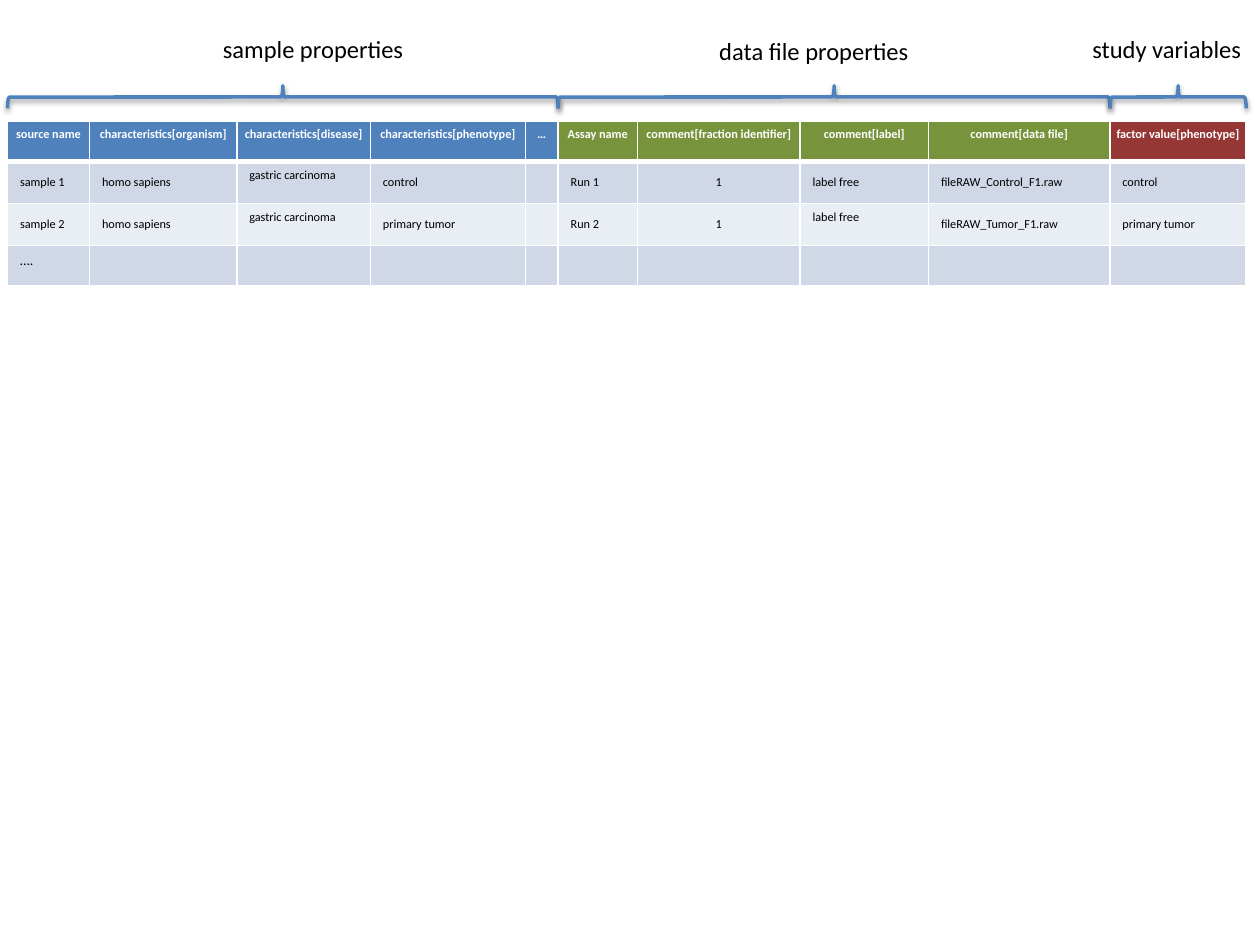
from dataclasses import dataclass
from itertools import accumulate

from lxml.etree import SubElement
from pptx import Presentation
from pptx.dml.color import RGBColor as RGB
from pptx.enum.shapes import MSO_SHAPE as SHAPE
from pptx.enum.text import MSO_ANCHOR as ANCHOR, MSO_AUTO_SIZE as AUTO, PP_ALIGN as ALIGN
from pptx.oxml.ns import qn
from pptx.util import Inches, Pt


@dataclass(frozen=True)
class Theme:
    font: str = "Calibri"
    label: int = 14
    cell: int = 7
    ellipsis: int = 8
    blue: str = "4F81BD"
    green: str = "77933C"
    red: str = "953735"
    bands: tuple = ("D0D8E8", "E9EDF4")
    white: str = "FFFFFF"
    black: str = "000000"


T = Theme()
LEFT, TOP = 0.06, 0.96
BRACE_Y, BRACE_DEPTH = 0.77, 0.18
LABEL_H = 0.34

COLS = [0.65, 1.17, 1.06, 1.23, 0.26, 0.63, 1.29, 1.02, 1.44, 1.08]
ROWS = [0.32, 0.335, 0.335, 0.32]
GROUPS = [
    ("sample properties", 5, T.blue, (1.67, 0.22, 1.65), ALIGN.LEFT, False),
    ("data file properties", 4, T.green, (5.61, 0.24, 1.88), ALIGN.LEFT, True),
    ("study variables", 1, T.red, (8.39, 0.22, 1.74), ALIGN.CENTER, True),
]
HEADER = ["source name", "characteristics[organism]", "characteristics[disease]",
          "characteristics[phenotype]", "…", "Assay name", "comment[fraction identifier]",
          "comment[label]", "comment[data file]", "factor value[phenotype]"]
BODY = [
    ["sample 1", "homo sapiens", "gastric carcinoma", "control", "", "Run 1", "1",
     "label free", "fileRAW_Control_F1.raw", "control"],
    ["sample 2", "homo sapiens", "gastric carcinoma", "primary tumor", "", "Run 2", "1",
     "label free", "fileRAW_Tumor_F1.raw", "primary tumor"],
    ["…."] + [""] * 9,
]
TOP_CELLS = {(1, 2), (2, 2), (2, 7), (3, 0)}


def write(p, text, size, color, bold=False, align=ALIGN.LEFT):
    p.alignment = align
    if not text:
        SubElement(p._p, qn("a:endParaRPr"), sz=str(size * 100))
        return
    r = p.add_run()
    r.text = text
    r.font.name, r.font.size, r.font.bold = T.font, Pt(size), bold
    r.font.color.rgb = RGB.from_string(color)


def paint_cell(cell, fill, bottom):
    tcPr = cell._tc.get_or_add_tcPr()
    for side, width in (("L", 1), ("R", 1), ("T", 1), ("B", bottom)):
        ln = SubElement(tcPr, qn(f"a:ln{side}"), w=str(Pt(width)))
        SubElement(SubElement(ln, qn("a:solidFill")), qn("a:srgbClr"), val=T.white)
    cell.fill.solid()
    cell.fill.fore_color.rgb = RGB.from_string(fill)


def add_data_table(slide):
    frame = slide.shapes.add_table(len(ROWS), len(COLS), Inches(LEFT), Inches(TOP),
                                   Inches(sum(COLS)), Inches(sum(ROWS)))
    table = frame.table
    for col, width in zip(table.columns, COLS):
        col.width = Inches(width)
    for row, height in zip(table.rows, ROWS):
        row.height = Inches(height)
    head_fills = [color for _, count, color, *_ in GROUPS for _ in range(count)]
    for i, texts in enumerate([HEADER] + BODY):
        for j, text in enumerate(texts):
            cell = table.cell(i, j)
            p = cell.text_frame.paragraphs[0]
            if i == 0:
                cell.margin_left = cell.margin_right = Inches(0.04)
                paint_cell(cell, head_fills[j], 3)
                write(p, text, T.cell, T.white, True, ALIGN.CENTER)
            else:
                cell.vertical_anchor = ANCHOR.TOP if (i, j) in TOP_CELLS else ANCHOR.MIDDLE
                paint_cell(cell, T.bands[(i - 1) % 2], 1)
                write(p, text, T.ellipsis if text == "…." else T.cell, T.black,
                      align=ALIGN.CENTER if j == 6 else ALIGN.LEFT)


def add_brace(slide, left, span):
    sp = slide.shapes.add_shape(
        SHAPE.LEFT_BRACE, Inches(left + span / 2 - BRACE_DEPTH / 2),
        Inches(BRACE_Y - span / 2), Inches(BRACE_DEPTH), Inches(span))
    sp.rotation = 90
    sp.fill.background()
    sp.line.color.rgb = RGB.from_string(T.blue)
    sp.line.width = Pt(2)
    sp.shadow.inherit = False
    effects = sp._element.spPr.find(qn("a:effectLst"))
    shadow = SubElement(effects, qn("a:outerShdw"), blurRad=str(Pt(3.1)),
                        dist=str(Pt(1.6)), dir="5400000", rotWithShape="0")
    color = SubElement(shadow, qn("a:srgbClr"), val=T.black)
    SubElement(color, qn("a:alpha"), val="38000")


def add_label(slide, text, place, align, wrap):
    x, y, width = map(Inches, place)
    tf = slide.shapes.add_textbox(x, y, width, Inches(LABEL_H)).text_frame
    tf.word_wrap = wrap
    tf.auto_size = AUTO.SHAPE_TO_FIT_TEXT
    write(tf.paragraphs[0], text, T.label, T.black, align=align)


def main():
    prs = Presentation()
    prs.slide_width, prs.slide_height = Inches(10), Inches(7.5)
    slide = prs.slides.add_slide(prs.slide_layouts[6])
    add_data_table(slide)
    edges = list(accumulate(COLS, initial=LEFT))
    first = 0
    for text, count, _, place, align, wrap in GROUPS:
        last = first + count
        add_brace(slide, edges[first], edges[last] - edges[first])
        add_label(slide, text, place, align, wrap)
        first = last
    prs.save("out.pptx")


if __name__ == "__main__":
    main()
